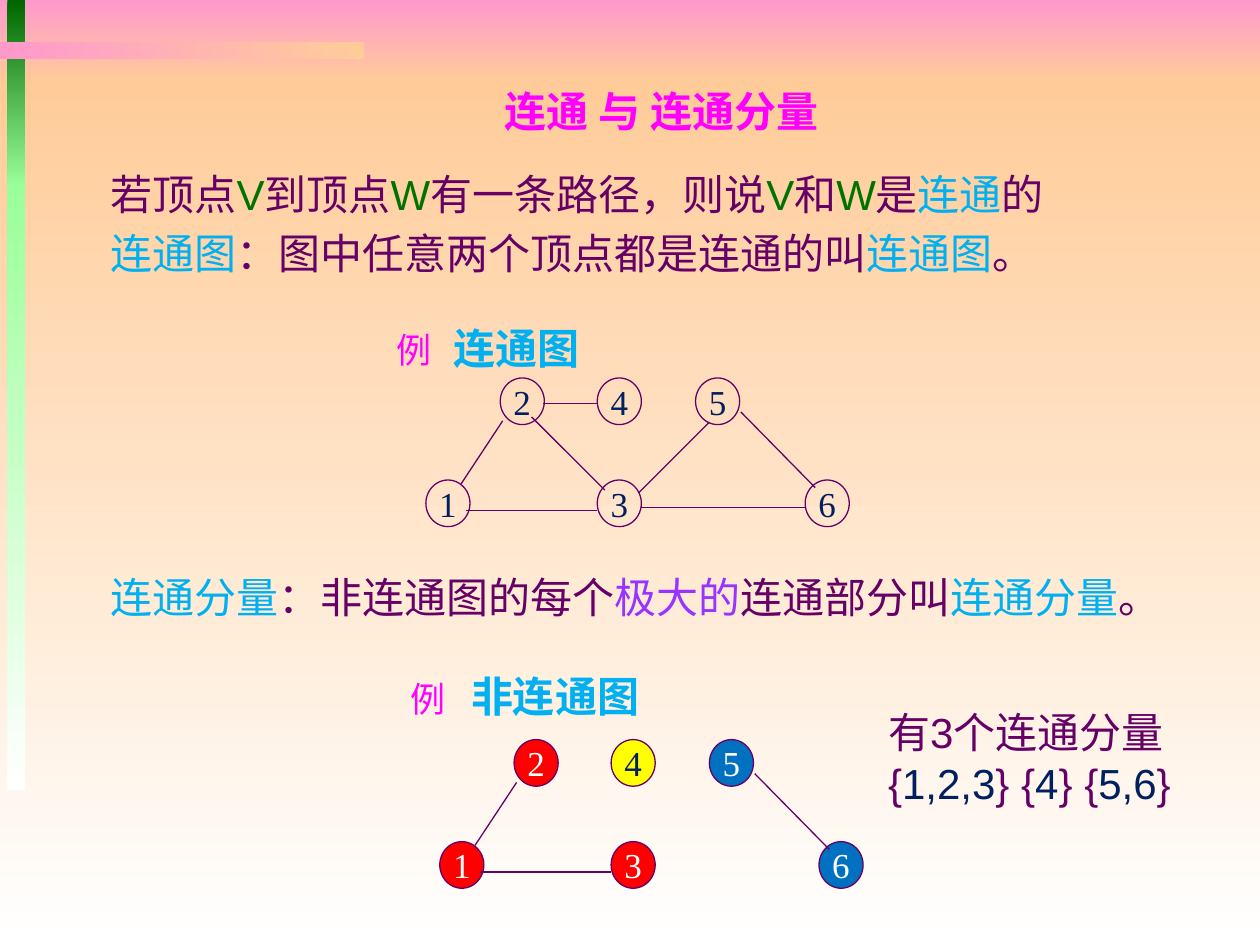
"""Build a slide on connectivity and connected components of a graph."""
from lxml import etree
from pptx import Presentation
from pptx import util as u
from pptx.dml.color import RGBColor
from pptx.enum import shapes, text
from pptx.oxml.ns import qn

PINK, PEACH, WHITE = RGBColor(255, 153, 204), RGBColor(255, 204, 153), RGBColor(255, 255, 255)
FOREST, MINT, GREEN = RGBColor(0, 102, 0), RGBColor(153, 255, 153), RGBColor(0, 114, 0)
PLUM, VIOLET, MAGENTA = RGBColor(102, 0, 102), RGBColor(153, 51, 255), RGBColor(255, 0, 255)
SKY, NAVY, BLUE = RGBColor(0, 176, 240), RGBColor(0, 32, 96), RGBColor(0, 112, 192)
RED, YELLOW = RGBColor(255, 0, 0), RGBColor(255, 255, 0)
SANS, SERIF = "Arial", "Times New Roman"
WIDTH, HEIGHT = 10, 7.5
DOWN, ACROSS = 270, 0

BANDS = [
    (0, 0, WIDTH, 0.67, PINK, PEACH, DOWN),
    (0, 0.67, WIDTH, HEIGHT - 0.67, PEACH, WHITE, DOWN),
    (0.06, 0, 0.14, 1.48, FOREST, MINT, DOWN),
    (0.06, 1.46, 0.14, 4.81, MINT, WHITE, DOWN),
    (0, 0.33, 2.89, 0.14, PINK, PEACH, ACROSS),
]
TITLE = "连通 与 连通分量"
CONNECTED = [
    [("若顶点", PLUM), ("V", GREEN), ("到顶点", PLUM), ("W", GREEN),
     ("有一条路径，则说", PLUM), ("V", GREEN), ("和", PLUM), ("W", GREEN),
     ("是", PLUM), ("连通", SKY), ("的", PLUM)],
    [("连通图", SKY), ("：图中任意两个顶点都是连通的叫", PLUM), ("连通图", SKY), ("。", PLUM)],
]
COMPONENT = [
    [("连通分量", SKY), ("：非连通图的每个", PLUM), ("极大的", VIOLET),
     ("连通部分叫", PLUM), ("连通分量", SKY), ("。", PLUM)],
]
COUNT = [
    [("有3个连通分量", PLUM)],
    [("{", PLUM), ("1,2,3", NAVY), ("} {", PLUM), ("4", NAVY), ("} {", PLUM),
     ("5,6", NAVY), ("}", PLUM)],
]
NODE_W, NODE_H = 0.35, 0.37
UPPER, LOWER = 3, 3.81
NODES = {2: (3.97, UPPER), 4: (4.74, UPPER), 5: (5.52, UPPER),
         1: (3.38, LOWER), 3: (4.74, LOWER), 6: (6.39, LOWER)}
EDGES = {
    (2, 4): (4.31, 3.2, 4.74, 3.2),
    (2, 3): (4.22, 3.31, 4.8, 3.89),
    (6, 3): (6.4, 4.03, 5.09, 4.03),
    (3, 5): (5.07, 3.91, 5.63, 3.35),
    (5, 6): (5.88, 3.27, 6.47, 3.87),
    (3, 1): (4.74, 4.05, 3.7, 4.05),
    (1, 2): (3.66, 3.84, 3.99, 3.34),
}
EXAMPLES = [
    {"heading": ("连通图", 3.5, 2.51, 1.22), "label": (3.05, 2.56), "shift": (0, 0),
     "edges": list(EDGES), "fills": {}},
    {"heading": ("非连通图", 3.64, 5.27, 1.57), "label": (3.16, 5.33), "shift": (0.11, 2.87),
     "edges": [(5, 6), (3, 1), (1, 2)],
     "fills": {1: RED, 2: RED, 3: RED, 4: YELLOW, 5: BLUE, 6: BLUE}},
]


def write(frame, lines, font, size, bold=False, before=0, align=None):
    for index, line in enumerate(lines):
        paragraph = frame.paragraphs[0] if index == 0 else frame.add_paragraph()
        paragraph.space_before = u.Pt(before)
        paragraph.alignment = align
        for words, color in line:
            run = paragraph.add_run()
            run.text = words
            run.font.name, run.font.size, run.font.bold = font, u.Pt(size), bold
            run.font.color.rgb = color


def add_text(slide, box, lines, font, size, wrap=False, **style):
    frame = slide.shapes.add_textbox(*map(u.Inches, box)).text_frame
    frame.word_wrap = wrap
    write(frame, lines, font, size, **style)


def add_band(slide, left, top, width, height, start, end, angle):
    band = slide.shapes.add_shape(shapes.MSO_SHAPE.RECTANGLE,
                                  *map(u.Inches, (left, top, width, height)))
    band.shadow.inherit = False
    band.line.fill.background()
    band.fill.gradient()
    band.fill.gradient_angle = angle
    for stop, color in zip(band.fill.gradient_stops, (start, end)):
        stop.color.rgb = color


def add_node(slide, number, left, top, fill):
    node = slide.shapes.add_shape(shapes.MSO_SHAPE.OVAL,
                                  *map(u.Inches, (left, top, NODE_W, NODE_H)))
    node.shadow.inherit = False
    node.line.color.rgb, node.line.width = PLUM, u.Pt(0.75)
    if fill:
        node.fill.solid()
        node.fill.fore_color.rgb = fill
    else:
        node.fill.background()
    node.text_frame.word_wrap = False
    node.text_frame.vertical_anchor = text.MSO_ANCHOR.MIDDLE
    ink = WHITE if fill in (RED, BLUE) else NAVY
    write(node.text_frame, [[(str(number), ink)]], SERIF, 20, align=text.PP_ALIGN.CENTER)


def add_edge(slide, ends):
    edge = slide.shapes.add_connector(shapes.MSO_CONNECTOR.STRAIGHT, *map(u.Inches, ends))
    edge.line.color.rgb, edge.line.width = PLUM, u.Pt(0.75)
    etree.SubElement(edge._element.spPr, qn("a:effectLst"))


def add_example(slide, example):
    words, left, top, width = example["heading"]
    add_text(slide, (left, top, width, 0.5), [[(words, SKY)]], SERIF, 24, bold=True)
    add_text(slide, (*example["label"], 0.48, 0.43), [[("例", MAGENTA)]], SERIF, 20,
             align=text.PP_ALIGN.CENTER)
    dx, dy = example["shift"]
    for number, (x, y) in NODES.items():
        add_node(slide, number, x + dx, y + dy, example["fills"].get(number))
    for pair in example["edges"]:
        x1, y1, x2, y2 = EDGES[pair]
        add_edge(slide, (x1 + dx, y1 + dy, x2 + dx, y2 + dy))


def main():
    deck = Presentation()
    deck.slide_width, deck.slide_height = u.Inches(WIDTH), u.Inches(HEIGHT)
    slide = deck.slides.add_slide(deck.slide_layouts[6])
    for band in BANDS:
        add_band(slide, *band)
    add_text(slide, (3.91, 0.63, 2.74, 0.5), [[(TITLE, MAGENTA)]], SERIF, 24, bold=True)
    for top, height, lines in ((1.29, 1, CONNECTED), (4.49, 0.55, COMPONENT)):
        add_text(slide, (0.78, top, 8.77, height), lines, SANS, 24, wrap=True, before=4.8)
    for example in EXAMPLES:
        add_example(slide, example)
    add_text(slide, (6.95, 5.56, 2.6, 1.31), COUNT, SANS, 24, wrap=True)
    deck.save("out.pptx")


if __name__ == "__main__":
    main()
